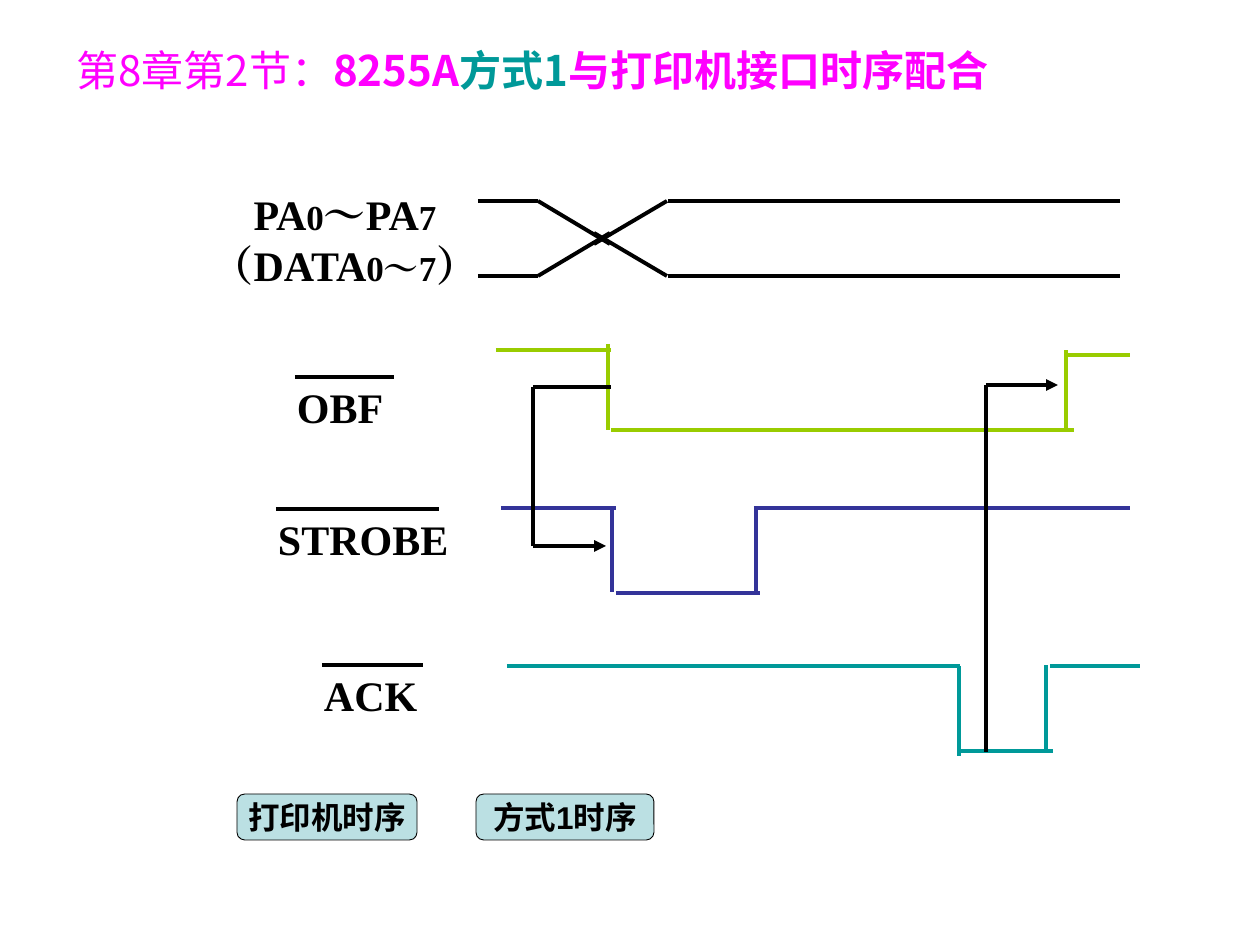
from pptx import Presentation
from pptx.util import Emu, Pt
from pptx.dml.color import RGBColor
from pptx.enum.shapes import MSO_CONNECTOR, MSO_SHAPE
from pptx.enum.text import MSO_ANCHOR, PP_ALIGN
from pptx.oxml.ns import qn
from lxml.etree import SubElement

BLACK, PINK, TEAL = "000000", "FF00FF", "009999"
LIME, NAVY, PALE = "99CC00", "333399", "BBE0E3"
SERIF = "Times New Roman"
THIN, BOLD = "Noto Sans CJK JP", "Noto Sans CJK SC"

TITLE = [
    ("第8章第2节：", THIN, PINK, False),
    ("8255A", BOLD, PINK, True),
    ("方式1", BOLD, TEAL, True),
    ("与打印机接口时序配合", BOLD, PINK, True),
]
DATA = [
    [("PA", 24), ("0", 20), ("～PA", 24), ("7", 20)],
    [("（DATA", 24), ("0～7", 20), ("）", 24)],
]
SIGNALS = [
    ("OBF", 296, 376, 99),
    ("STROBE", 277, 508, 163),
    ("ACK", 323, 664, 101),
]
WAVES = [
    (BLACK, [
        (478, 201, 538, 201), (538, 201, 610, 244),
        (478, 276, 538, 276), (538, 276, 610, 233),
        (667, 201, 594, 244), (668, 201, 1120, 201),
        (667, 276, 594, 233), (668, 276, 1120, 276),
    ]),
    (LIME, [
        (496, 350, 611, 350), (608, 344, 608, 430),
        (611, 430, 1074, 430), (1066, 430, 1066, 350),
        (1068, 355, 1130, 355),
    ]),
    (NAVY, [
        (501, 508, 616, 508), (612, 507, 612, 592),
        (616, 593, 760, 593), (756, 592, 756, 507),
        (754, 508, 1130, 508),
    ]),
    (TEAL, [
        (507, 666, 960, 666), (959, 666, 959, 756),
        (961, 751, 1053, 751), (1046, 751, 1046, 665),
        (1050, 666, 1140, 666),
    ]),
    (BLACK, [
        (611, 387, 533, 387), (533, 387, 533, 546),
        (986, 752, 986, 385),
    ]),
]
ARROWS = [(533, 546, 606, 546), (986, 385, 1058, 385)]
KEYS = [("打印机时序", 237, 180), ("方式1时序", 476, 178)]


def px(n):
    return Emu(round(n * 914400 / 126))


def rgb(code):
    return RGBColor.from_string(code)


def write(para, text, size, face, color=BLACK, bold=True):
    run = para.add_run()
    run.text = text
    font = run.font
    font.size, font.name, font.bold = Pt(size), face, bold
    font.color.rgb = rgb(color)
    SubElement(font._element, qn("a:ea")).set("typeface", face)


def stroke(ends, color=BLACK, arrow=False):
    line = slide.shapes.add_connector(MSO_CONNECTOR.STRAIGHT, *map(px, ends))
    line.line.color.rgb = rgb(color)
    line.line.width = Pt(2.25)
    if arrow:
        SubElement(line.line._get_or_add_ln(), qn("a:tailEnd")).set("type", "triangle")
    SubElement(line._element.spPr, qn("a:effectLst"))


def label(box, rows, align):
    frame = slide.shapes.add_textbox(*map(px, box)).text_frame
    frame.word_wrap = True
    frame.margin_left = frame.margin_right = frame.margin_bottom = px(1)
    frame.margin_top = px(5)
    for i, row in enumerate(rows):
        para = frame.add_paragraph() if i else frame.paragraphs[0]
        para.alignment = align
        for text, size in row:
            write(para, text, size, SERIF)


deck = Presentation()
deck.slide_width, deck.slide_height = px(1260), px(945)
slide = deck.slides.add_slide(deck.slide_layouts[5])

title = slide.shapes.title
title.left, title.top, title.width, title.height = map(px, (64, 35, 1134, 69))
title.text_frame.vertical_anchor = MSO_ANCHOR.MIDDLE
head = title.text_frame.paragraphs[0]
head.alignment = PP_ALIGN.JUSTIFY
for text, face, color, bold in TITLE:
    write(head, text, 24, face, color, bold)

for color, lines in WAVES:
    for ends in lines:
        stroke(ends, color)
for ends in ARROWS:
    stroke(ends, arrow=True)

label((183, 184, 324, 164), DATA, PP_ALIGN.CENTER)
for name, left, top, width in SIGNALS:
    label((left, top, 183, 79), [[(name, 24)]], PP_ALIGN.LEFT)
    stroke((left - 1, top + 1, left - 1 + width, top + 1))

for text, left, width in KEYS:
    box = slide.shapes.add_shape(
        MSO_SHAPE.FLOWCHART_ALTERNATE_PROCESS, *map(px, (left, 794, width, 46)))
    box.shadow.inherit = False
    box.fill.solid()
    box.fill.fore_color.rgb = rgb(PALE)
    box.line.color.rgb = rgb(BLACK)
    box.line.width = Pt(0.5)
    frame = box.text_frame
    frame.word_wrap = False
    frame.vertical_anchor = MSO_ANCHOR.MIDDLE
    frame.paragraphs[0].alignment = PP_ALIGN.CENTER
    write(frame.paragraphs[0], text, 18, "Arial")

deck.save("out.pptx")
